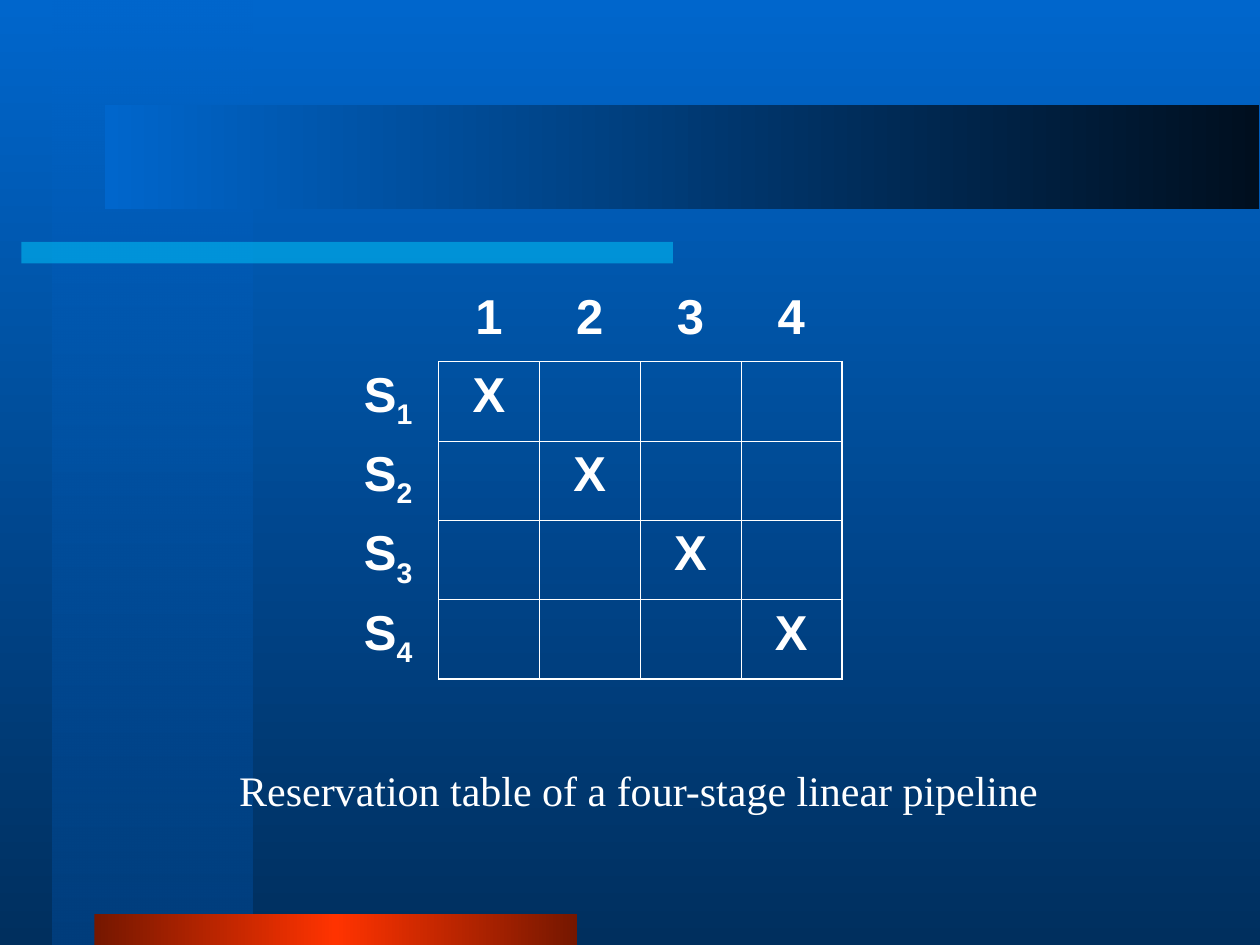
"""Build a slide with the reservation table of a four-stage linear pipeline."""
from lxml.etree import SubElement
from pptx import Presentation
from pptx.dml.color import RGBColor
from pptx.enum.shapes import MSO_SHAPE
from pptx.enum.text import MSO_AUTO_SIZE, PP_ALIGN
from pptx.oxml.ns import qn
from pptx.util import Inches, Pt

WHITE = RGBColor(0xFF, 0xFF, 0xFF)
BLUE = RGBColor(0x00, 0x66, 0xCC)
NAVY = RGBColor(0x00, 0x2F, 0x5E)
DEEP = RGBColor(0x00, 0x3E, 0x7D)
INK = RGBColor(0x00, 0x0F, 0x1F)
CYAN = RGBColor(0x00, 0xCC, 0xFF)
RED = RGBColor(0xFF, 0x33, 0x00)
MAROON = RGBColor(0x75, 0x17, 0x00)

CAPTION = "Reservation table of a four-stage linear pipeline"
STAGES = ["S1", "S2", "S3", "S4"]
CYCLES = ["1", "2", "3", "4"]
RESERVED = {("S1", "1"), ("S2", "2"), ("S3", "3"), ("S4", "4")}
BACKDROP = [(0, BLUE, 100), (100, NAVY, 100)]
BARS = [
    ((0.42, 0, 1.58, 7.5), [(0, BLUE, 50), (100, DEEP, 100)], 90),
    ((0.17, 1.92, 5.17, 0.17), [(0, CYAN, 50)], 0),
    ((0.75, 7.25, 3.83, 0.25), [(0, MAROON, 100), (50, RED, 100), (100, MAROON, 100)], 0),
    ((0.83, 0.83, 9.16, 0.83), [(0, BLUE, 100), (100, INK, 100)], 0),
]
TABLE_LEFT, TABLE_TOP = 2.68, 2.25
COL_WIDTH, HEAD_HEIGHT, ROW_HEIGHT = 0.8, 0.62, 0.63
THIN, THICK = 0.45, 1.08


def add_color(parent, color, alpha):
    clr = SubElement(parent, qn("a:srgbClr"), val=str(color))
    if alpha < 100:
        SubElement(clr, qn("a:alpha"), val=str(alpha * 1000))


def paint_gradient(owner, fill, stops, angle):
    fill.gradient()
    grad = owner.element.find(".//" + qn("a:gradFill"))
    for child in list(grad):
        grad.remove(child)
    gs_list = SubElement(grad, qn("a:gsLst"))
    for pos, color, alpha in stops:
        add_color(SubElement(gs_list, qn("a:gs"), pos=str(pos * 1000)), color, alpha)
    SubElement(grad, qn("a:lin"), ang=str(angle * 60000), scaled="0")


def add_bar(s, box, stops, angle):
    sp = s.shapes.add_shape(MSO_SHAPE.RECTANGLE, *map(Inches, box))
    sp.shadow.inherit = False
    sp.line.fill.background()
    if len(stops) > 1:
        paint_gradient(sp, sp.fill, stops, angle)
        return
    _, color, alpha = stops[0]
    sp.fill.solid()
    sp.fill.fore_color.rgb = color
    clr = sp.element.spPr.find(".//" + qn("a:srgbClr"))
    SubElement(clr, qn("a:alpha"), val=str(alpha * 1000))


def style_run(r, name, size, bold=False):
    r.font.name, r.font.size, r.font.bold = name, Pt(size), bold
    r.font.color.rgb = WHITE


def write_cell(cell, text):
    p = cell.text_frame.paragraphs[0]
    p.alignment = PP_ALIGN.CENTER
    p.space_before = Pt(7)
    for i, char in enumerate(text):
        r = p.add_run()
        r.text = char
        style_run(r, "Arial", 28, True)
        if i:
            r.font._element.set("baseline", "-25000")


def set_borders(cell, widths):
    tc_pr = cell._tc.get_or_add_tcPr()
    for side, width in widths.items():
        ln = SubElement(tc_pr, qn("a:ln" + side), w=str(Pt(width)))
        if width:
            add_color(SubElement(ln, qn("a:solidFill")), WHITE, 100)
        else:
            SubElement(ln, qn("a:noFill"))


def border_widths(row, col):
    inside = row > 0 and col > 0
    return {
        "L": THIN if inside else 0,
        "R": 0 if row == 0 else THICK if col == len(CYCLES) else THIN,
        "T": THIN if inside else 0,
        "B": 0 if col == 0 else THICK if row == len(STAGES) else THIN,
    }


def add_reservation_table(s):
    grid = [[""] + CYCLES]
    grid += [[st] + ["X" if (st, c) in RESERVED else "" for c in CYCLES] for st in STAGES]
    n_rows, n_cols = len(grid), len(grid[0])
    height = HEAD_HEIGHT + ROW_HEIGHT * len(STAGES)
    box = (TABLE_LEFT, TABLE_TOP, COL_WIDTH * n_cols, height)
    table = s.shapes.add_table(n_rows, n_cols, *map(Inches, box)).table
    table.first_row = table.horz_banding = False
    for column in table.columns:
        column.width = Inches(COL_WIDTH)
    for i, row in enumerate(table.rows):
        row.height = Inches(ROW_HEIGHT if i else HEAD_HEIGHT)
        for j, cell in enumerate(row.cells):
            write_cell(cell, grid[i][j])
            set_borders(cell, border_widths(i, j))
            cell.fill.background()


def add_caption(s):
    tf = s.shapes.add_textbox(*map(Inches, (1.8, 6.02, 6.55, 0.5))).text_frame
    tf.word_wrap = False
    tf.auto_size = MSO_AUTO_SIZE.SHAPE_TO_FIT_TEXT
    tf.text = CAPTION
    style_run(tf.paragraphs[0].runs[0], "Times New Roman", 24)


def main():
    prs = Presentation()
    prs.slide_width, prs.slide_height = Inches(10), Inches(7.5)
    s = prs.slides.add_slide(prs.slide_layouts[6])
    paint_gradient(s, s.background.fill, BACKDROP, 90)
    for bar in BARS:
        add_bar(s, *bar)
    add_reservation_table(s)
    add_caption(s)
    prs.save("out.pptx")


if __name__ == "__main__":
    main()
